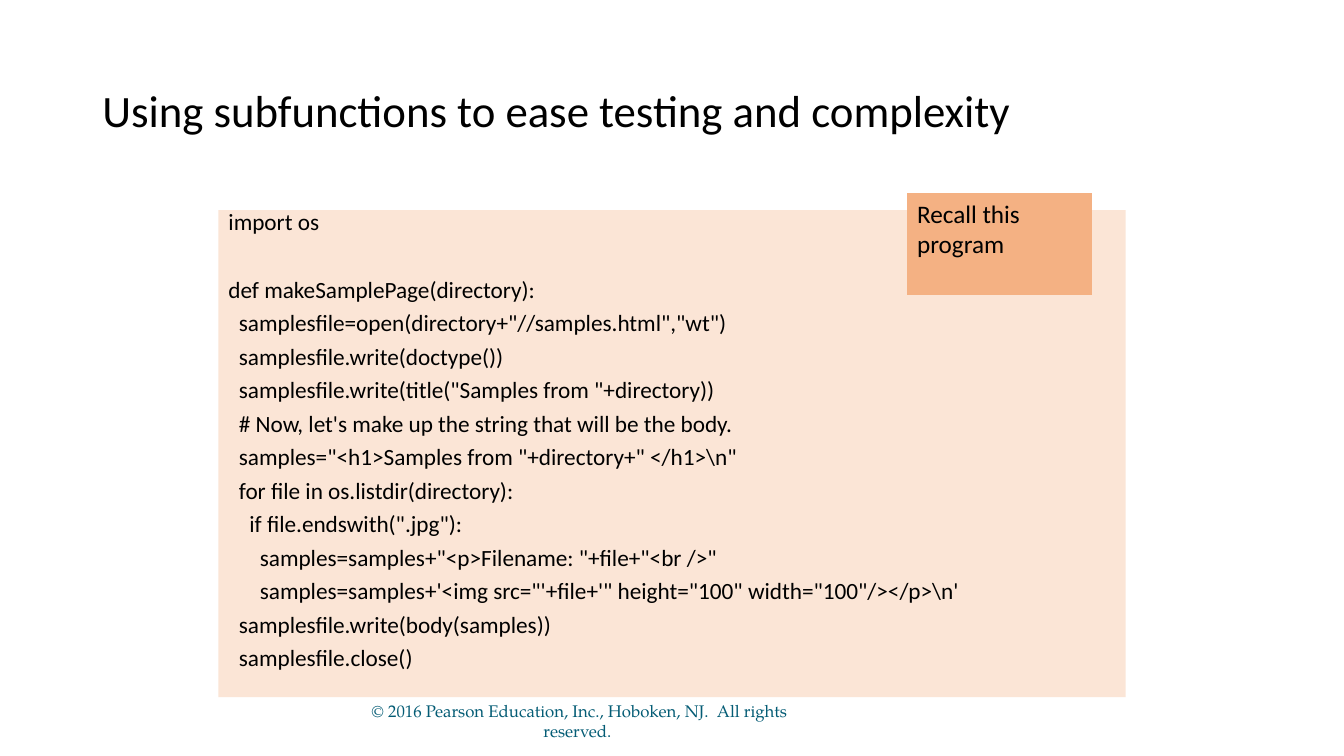
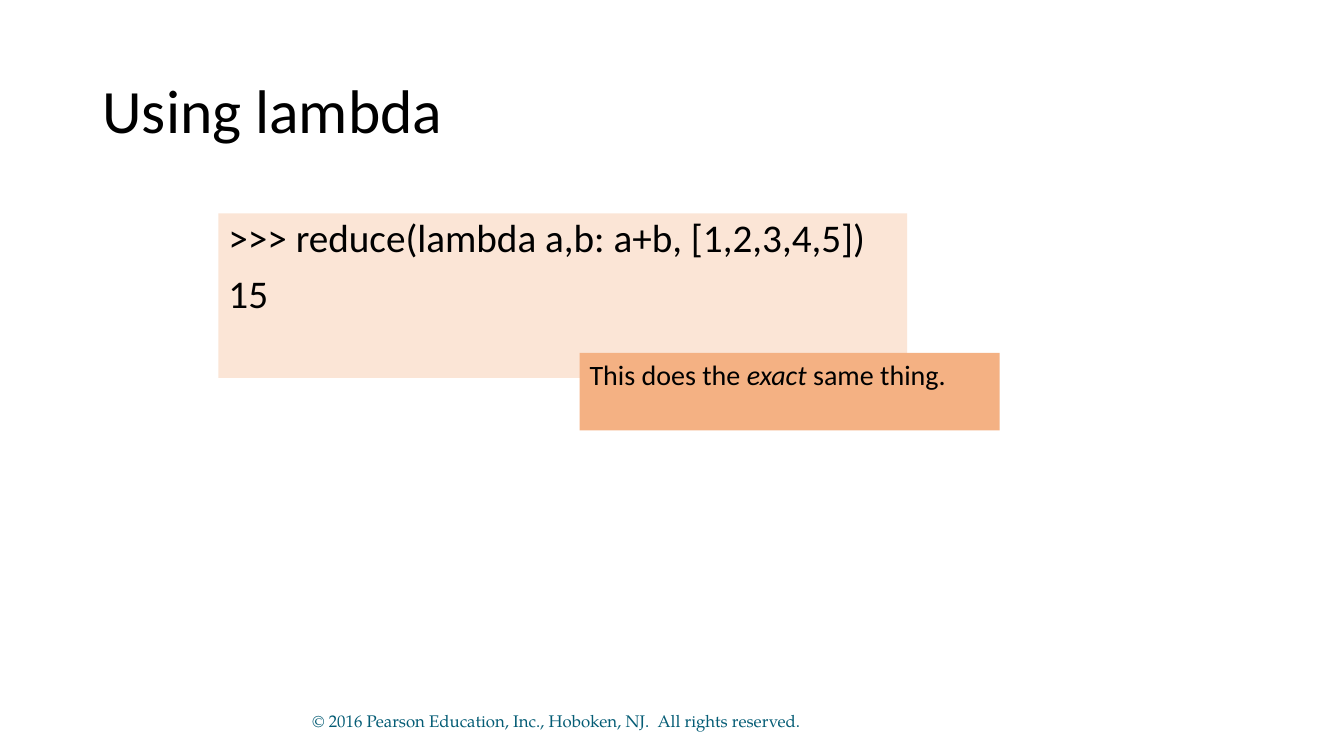
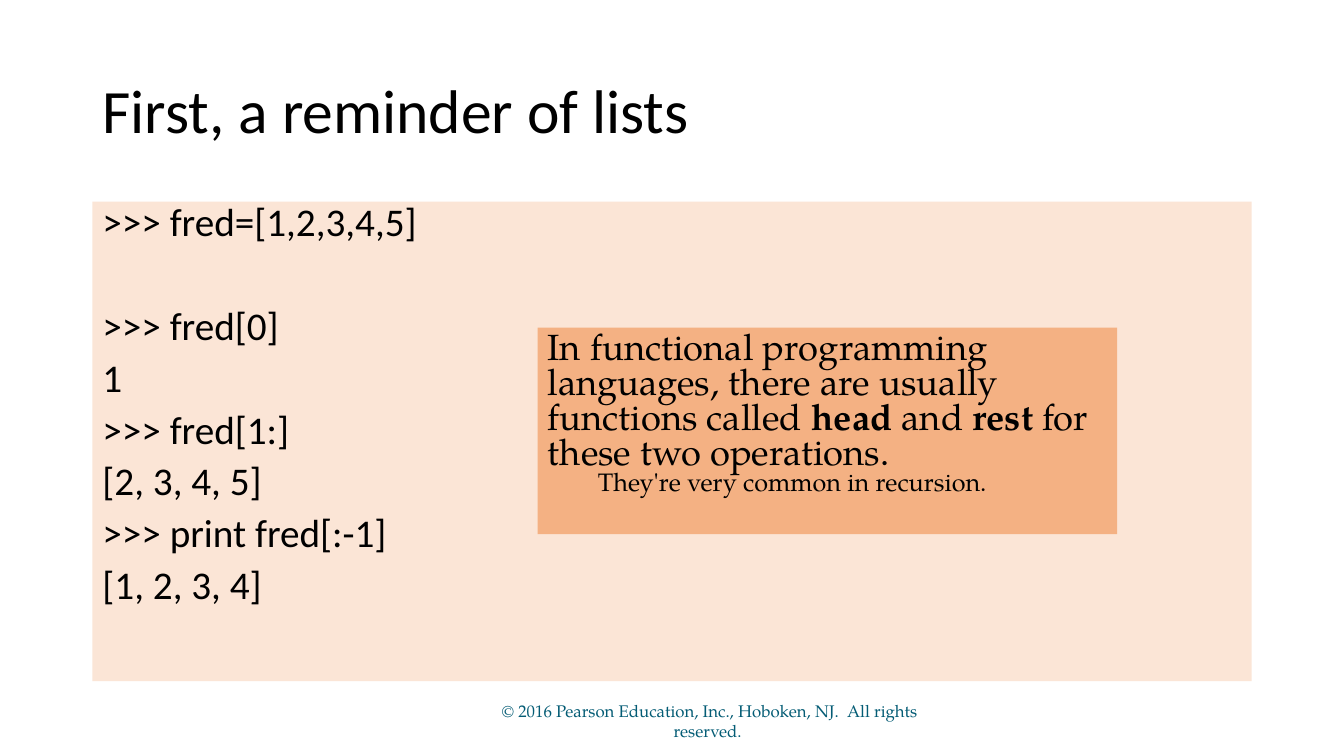
from lxml import etree
from pptx import Presentation
from pptx.dml.color import RGBColor
from pptx.enum.text import MSO_ANCHOR, MSO_AUTO_SIZE, PP_ALIGN
from pptx.oxml.ns import qn
from pptx.util import Pt

LEFT, CENTER = PP_ALIGN.LEFT, PP_ALIGN.CENTER
TOP, MIDDLE = MSO_ANCHOR.TOP, MSO_ANCHOR.MIDDLE
NO_FIT = MSO_AUTO_SIZE.NONE

BLACK = RGBColor(0x00, 0x00, 0x00)
CODE_FILL = RGBColor(0xFB, 0xE5, 0xD6)
NOTE_FILL = RGBColor(0xF4, 0xB1, 0x83)
FOOTER_TEAL = RGBColor(0x04, 0x5C, 0x75)
SANS, SERIF = "Calibri", "TeX Gyre Pagella"

TITLE_BOX = (66, 28.8, 828, 104.4)
FOOTER_TOP, FOOTER_HEIGHT = 500.4, 28.8
FOOTER = "© 2016 Pearson Education, Inc., Hoboken, NJ.  All rights reserved. "
CODE_GAP, CODE_HANG, NOTE_INDENT = 10, 21.6, 36
LINE_HEIGHT = 1.22

SAMPLE_PAGE_CODE = r"""import os

def makeSamplePage(directory):
  samplesfile=open(directory+"//samples.html","wt")
  samplesfile.write(doctype())
  samplesfile.write(title("Samples from "+directory))
  # Now, let's make up the string that will be the body.
  samples="<h1>Samples from "+directory+" </h1>\n"
  for file in os.listdir(directory):
    if file.endswith(".jpg"):
      samples=samples+"<p>Filename: "+file+"<br />"
      samples=samples+'<img src="'+file+'" height="100" width="100"/></p>\n'
  samplesfile.write(body(samples))
  samplesfile.close()"""

LAMBDA_CODE = """>>> reduce(lambda a,b: a+b, [1,2,3,4,5])
15"""

LIST_CODE = """>>> fred=[1,2,3,4,5]

>>> fred[0]
1
>>> fred[1:]
[2, 3, 4, 5]
>>> print fred[:-1]
[1, 2, 3, 4]"""


def place(shape, box):
    """Move a shape to a box of left, top, width and height in points."""
    shape.left, shape.top, shape.width, shape.height = map(Pt, box)


def prepare(shape, anchor):
    """Return the wrapped, fixed-size text frame of a shape."""
    frame = shape.text_frame
    frame.word_wrap = True
    frame.auto_size = NO_FIT
    frame.vertical_anchor = anchor
    return frame


def style(run, font, size, color=BLACK):
    """Set the typeface, size and colour of a run."""
    run.font.name, run.font.size = font, Pt(size)
    run.font.color.rgb = color


def indent(paragraph, margin, first_line):
    """Set the left margin and first-line indent of a paragraph."""
    properties = paragraph._p.get_or_add_pPr()
    properties.set("marL", str(Pt(margin)))
    properties.set("indent", str(Pt(first_line)))
    return properties


def fill(shape, color):
    """Give a shape a plain fill."""
    shape.fill.solid()
    shape.fill.fore_color.rgb = color


def add_title(slide, text, size):
    """Write the heading into the title placeholder."""
    title = slide.shapes.title
    place(title, TITLE_BOX)
    frame = prepare(title, MIDDLE)
    frame.text = text
    heading = frame.paragraphs[0]
    heading.alignment, heading.line_spacing = LEFT, 0.9
    style(heading.runs[0], SANS, size)


def add_code(slide, box, code, size, spacing):
    """Write code lines into the body placeholder, turning empty lines into space."""
    listing = slide.placeholders[1]
    place(listing, box)
    fill(listing, CODE_FILL)
    frame = prepare(listing, TOP)
    gap = 0
    for number, text in enumerate(code.split("\n")):
        if not text:
            gap += CODE_GAP + size * LINE_HEIGHT * spacing
            continue
        line = frame.add_paragraph() if number else frame.paragraphs[0]
        line.text = text
        properties = indent(line, CODE_HANG, -CODE_HANG)
        etree.SubElement(properties, qn("a:buNone"))
        line.alignment, line.line_spacing = LEFT, spacing
        line.space_before = Pt(round(gap, 2))
        style(line.runs[0], SANS, size)
        gap = CODE_GAP


def add_note(slide, box, font, spacing, points):
    """Add a filled callout; each point is a level, a size and marked text pieces."""
    note = slide.shapes.add_textbox(*map(Pt, box))
    fill(note, NOTE_FILL)
    frame = prepare(note, TOP)
    for number, (level, size, pieces) in enumerate(points):
        point = frame.add_paragraph() if number else frame.paragraphs[0]
        point.level, point.line_spacing = level, spacing
        indent(point, level * NOTE_INDENT, 0)
        for text, emphasis in pieces:
            run = point.add_run()
            run.text = text
            style(run, font, size)
            run.font.bold = emphasis == "bold"
            run.font.italic = emphasis == "italic"


def add_footer(slide, left, width):
    """Add the centred copyright line."""
    footer = slide.shapes.add_textbox(
        Pt(left), Pt(FOOTER_TOP), Pt(width), Pt(FOOTER_HEIGHT))
    frame = prepare(footer, MIDDLE)
    frame.text = FOOTER
    frame.paragraphs[0].alignment = CENTER
    style(frame.paragraphs[0].runs[0], SERIF, 12, FOOTER_TEAL)


def add_code_slide(deck, title, code, note, footer):
    """Add a slide with a title, a code listing, a callout and a footer."""
    slide = deck.slides.add_slide(deck.slide_layouts[1])
    add_title(slide, *title)
    add_code(slide, *code)
    add_note(slide, *note)
    add_footer(slide, *footer)


def main():
    """Build and save the presentation."""
    deck = Presentation()
    deck.slide_width, deck.slide_height = Pt(960), Pt(540)
    add_code_slide(
        deck,
        ("Using subfunctions to ease testing and complexity", 32),
        ((156, 150, 648, 348), SAMPLE_PAGE_CODE, 16.6, 0.7),
        ((648, 138, 132, 72.7), SANS, 1.0,
         [(0, 18, [("Recall this program", None)])]),
        (234, 360))
    add_code_slide(
        deck,
        ("Using lambda", 44),
        ((156, 152.4, 492, 117.6), LAMBDA_CODE, 28, 0.9),
        ((414, 252, 300, 55.5), SANS, 1.0,
         [(0, 20, [("This does the ", None), ("exact", "italic"),
                   (" same thing.", None)])]),
        (204, 390))
    add_code_slide(
        deck,
        ("First, a reminder of lists", 44),
        ((66, 144, 828, 342.6), LIST_CODE, 28, 0.8),
        ((384, 234, 414, 147.6), SERIF, 0.8,
         [(0, 26, [("In functional programming languages, there are usually "
                    "functions called ", None), ("head", "bold"),
                   (" and ", None), ("rest", "bold"),
                   (" for these two operations.", None)]),
          (1, 18, [("They're very common in recursion.", None)])]),
        (330, 354))
    deck.save("out.pptx")


if __name__ == "__main__":
    main()
